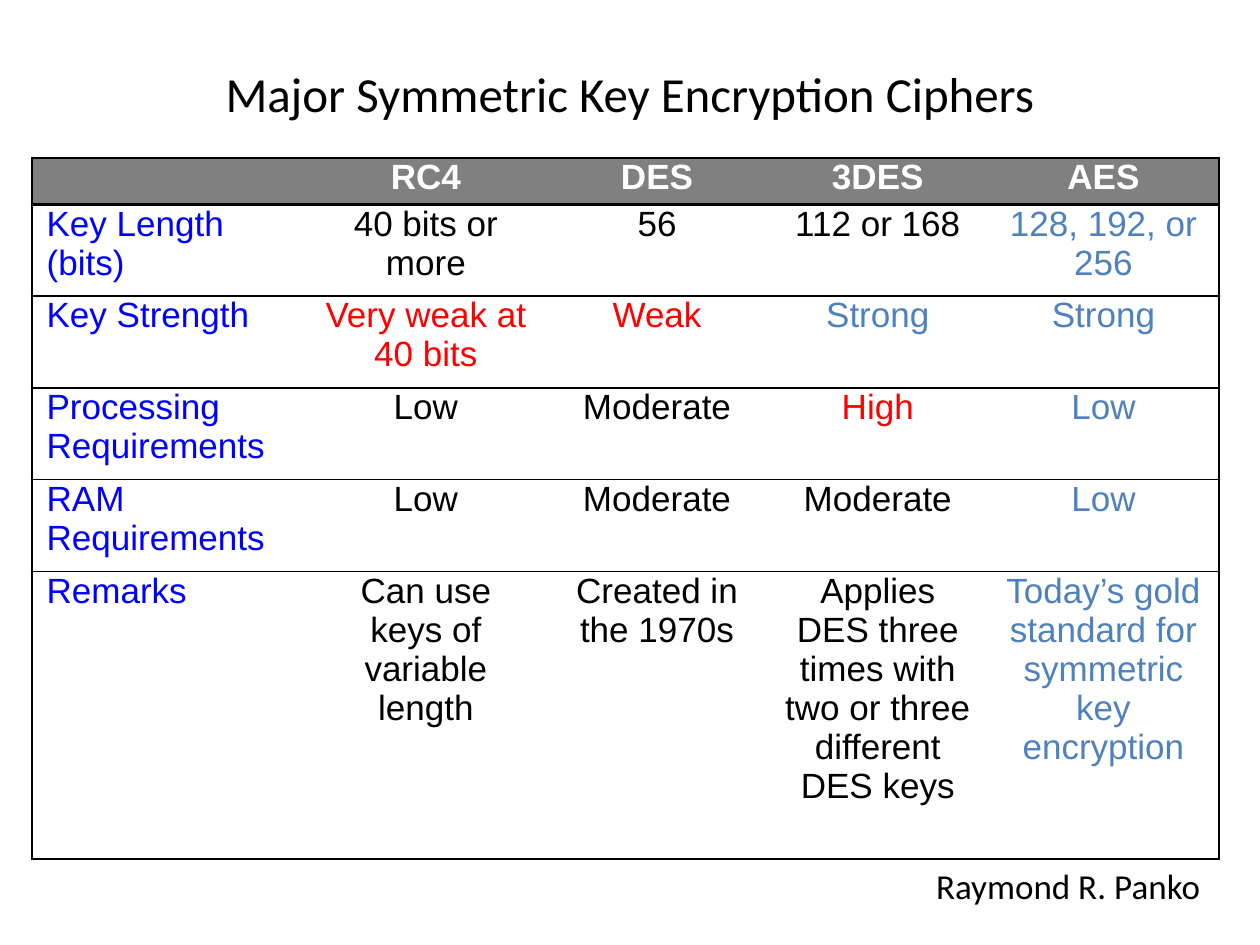
import dataclasses
import lxml.etree
import pptx
import pptx.dml.color
import pptx.enum.text
import pptx.oxml.ns
import pptx.util

Cm = pptx.util.Cm
Pt = pptx.util.Pt
ALIGN = pptx.enum.text.PP_ALIGN


@dataclasses.dataclass(frozen=True)
class Theme:
    black: str = "000000"
    white: str = "FFFFFF"
    header: str = "808080"
    label: str = "0000FF"
    bad: str = "FF0000"
    good: str = "4F81BD"
    title_size: int = 28
    body_size: int = 20
    title_font: str = "Calibri"
    table_font: str = "Arial"
    thick: float = 1.5
    thin: float = 1


THEME = Theme()
COLUMN_WIDTHS = [5.51, 4.87, 4.45, 4.45, 4.65]
ROW_HEIGHTS = [0.94, 1.85, 1.85, 1.85, 1.85, 5.8]
ROWS = [
    ["", "RC4", "DES", "3DES", "AES"],
    ["Key Length (bits)", "40 bits or more", "56", "112 or 168", "128, 192, or 256"],
    ["Key Strength", "Very weak at 40 bits", "Weak", "Strong", "Strong"],
    ["Processing Requirements", "Low", "Moderate", "High", "Low"],
    ["RAM Requirements", "Low", "Moderate", "Moderate", "Low"],
    ["Remarks", "Can use keys of variable length", "Created in the 1970s",
     "Applies DES three times with two or three different DES keys",
     "Today\u2019s gold standard for symmetric key encryption"],
]
VERDICTS = {"Very weak at 40 bits": THEME.bad, "Weak": THEME.bad,
            "High": THEME.bad, "Strong": THEME.good}


def set_values(target, values):
    for name, value in values.items():
        setattr(target, name, value)


def write_text(frame, text, color, font, size, para_format, bold=False):
    para = frame.paragraphs[0]
    set_values(para, para_format)
    span = para.add_run()
    span.text = text
    set_values(span.font, {"name": font, "size": Pt(size), "bold": bold})
    span.font.color.rgb = pptx.dml.color.RGBColor.from_string(color)


def add_label(page, box, text, size, align):
    label = page.shapes.add_textbox(*[Cm(length) for length in box])
    set_values(label.text_frame, {
        "word_wrap": True, "vertical_anchor": pptx.enum.text.MSO_ANCHOR.MIDDLE})
    write_text(label.text_frame, text, THEME.black, THEME.title_font, size,
               {"alignment": align})


def set_borders(cell, widths):
    properties = cell._tc.get_or_add_tcPr()
    for side, width in widths.items():
        line = lxml.etree.SubElement(properties, pptx.oxml.ns.qn("a:ln" + side))
        if width:
            line.set("w", str(int(Pt(width))))
            fill = lxml.etree.SubElement(line, pptx.oxml.ns.qn("a:solidFill"))
            color = lxml.etree.SubElement(fill, pptx.oxml.ns.qn("a:srgbClr"))
            color.set("val", THEME.black)
        else:
            lxml.etree.SubElement(line, pptx.oxml.ns.qn("a:noFill"))


def text_color(row, column):
    if row == 0:
        return THEME.white
    if column == 0:
        return THEME.label
    if column == len(COLUMN_WIDTHS) - 1:
        return THEME.good
    return VERDICTS.get(ROWS[row][column], THEME.black)


def fill_cell(cell, row, column):
    last_row, last_column = len(ROWS) - 1, len(COLUMN_WIDTHS) - 1
    set_borders(cell, {
        "L": THEME.thick if column == 0 else 0,
        "R": THEME.thick if column == last_column else 0,
        "T": THEME.thick if row <= 1 else THEME.thin,
        "B": THEME.thick if row in (0, last_row) else THEME.thin,
    })
    set_values(cell, {"margin_left": Cm(0.3), "margin_right": Cm(0.3),
                      "margin_top": 0, "margin_bottom": 0})
    if row == 0:
        cell.fill.solid()
        cell.fill.fore_color.rgb = pptx.dml.color.RGBColor.from_string(THEME.header)
    else:
        cell.fill.background()
    if ROWS[row][column]:
        write_text(cell.text_frame, ROWS[row][column], text_color(row, column),
                   THEME.table_font, THEME.body_size, {
                       "alignment": ALIGN.CENTER if column else ALIGN.LEFT,
                       "space_before": Pt(3 if row else 9),
                       "space_after": Pt(3)}, bold=row == 0)


def add_cipher_table(page, left, top):
    table = page.shapes.add_table(
        len(ROWS), len(COLUMN_WIDTHS), Cm(left), Cm(top),
        Cm(sum(COLUMN_WIDTHS)), Cm(sum(ROW_HEIGHTS))).table
    table.horz_banding = False
    for column, width in zip(table.columns, COLUMN_WIDTHS):
        column.width = Cm(width)
    for row, height in enumerate(ROW_HEIGHTS):
        table.rows[row].height = Cm(height)
        for column in range(len(COLUMN_WIDTHS)):
            fill_cell(table.cell(row, column), row, column)


def build_cipher_page(deck):
    page = deck.slides.add_slide(deck.slide_layouts[6])
    add_label(page, (18.62, 17.35, 5.92, 1.02), "Raymond R. Panko",
              THEME.body_size, ALIGN.LEFT)
    add_label(page, (1.27, 0.76, 22.86, 2.21),
              "Major Symmetric Key Encryption Ciphers",
              THEME.title_size, ALIGN.CENTER)
    add_cipher_table(page, 0.64, 3.18)


deck = pptx.Presentation()
set_values(deck, {"slide_width": Cm(25.4), "slide_height": Cm(19.05)})
build_cipher_page(deck)
deck.save("out.pptx")
